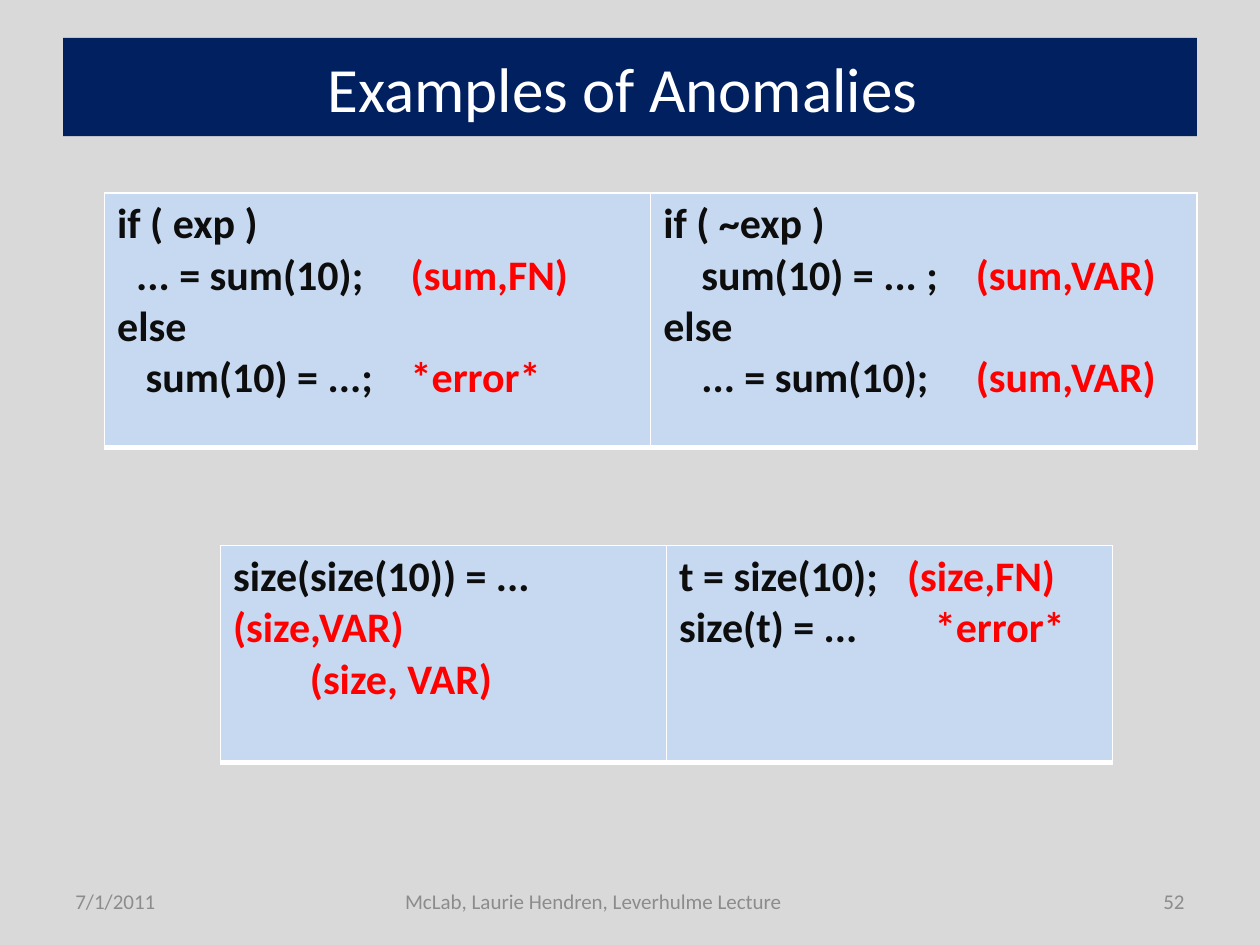
from pptx import Presentation
from pptx.dml.color import RGBColor
from pptx.enum.text import MSO_ANCHOR as Anchor, PP_ALIGN as Align
from pptx.oxml.ns import qn
from pptx.util import Inches, Pt
from lxml.etree import SubElement

BACKGROUND, NAVY, PALE_BLUE = "D9D9D9", "002060", "C6D9F1"
WHITE, INK, RED, GREY = "FFFFFF", "0D0D0D", "FF0000", "8C8C8C"
BORDERS = {"a:lnL": 1, "a:lnR": 1, "a:lnT": 1, "a:lnB": 3}

# Each line of a cell is (code, note, tab position of the note in inches).
BRANCH_CELLS = [
    [("if ( exp )", "", 0),
     ("  ... = sum(10);", "(sum,FN)", 2.33),
     ("else", "", 0),
     ("   sum(10) = ...;", "*error*", 2.33)],
    [("if ( ~exp )", "", 0),
     ("    sum(10) = ... ;", "(sum,VAR)", 2.48),
     ("else", "", 0),
     ("    ... = sum(10);", "(sum,VAR)", 2.48)],
]
SIZE_CELLS = [
    [("size(size(10)) = ...", "", 0),
     ("", "(size,VAR)", 0),
     ("", "(size, VAR)", 0.61)],
    [("t = size(10);", "(size,FN)", 1.81),
     ("size(t) = ...", "*error*", 2.03)],
]
FOOTER = [
    ("7/1/2011", 0.5, 1.17, Align.LEFT),
    ("McLab, Laurie Hendren, Leverhulme Lecture", 2, 5.42, Align.CENTER),
    ("52", 8.42, 1.08, Align.RIGHT),
]


def rgb(value):
    return RGBColor.from_string(value)


def paint(fill, color):
    fill.solid()
    fill.fore_color.rgb = rgb(color)


def add_span(para, text, color, **formats):
    span = para.add_run()
    span.text = text
    span.font.color.rgb = rgb(color)
    for name, value in {"name": "Calibri", **formats}.items():
        setattr(span.font, name, value)


def place(shape, left, top, width, height):
    bounds = {"left": left, "top": top, "width": width, "height": height}
    for name, value in bounds.items():
        setattr(shape, name, Inches(value))


def add_title(page, left, top, width, height):
    title = page.shapes.title
    place(title, left, top, width, height)
    paint(title.fill, NAVY)
    frame = title.text_frame
    frame.vertical_anchor = Anchor.MIDDLE
    frame.margin_right = Inches(0.22)
    para = frame.paragraphs[0]
    para.alignment = Align.CENTER
    add_span(para, "Examples of Anomalies", WHITE, size=Pt(36))


def add_borders(cell):
    properties = cell._tc.get_or_add_tcPr()
    for tag, points in BORDERS.items():
        line = SubElement(properties, qn(tag), w=str(Pt(points)))
        SubElement(SubElement(line, qn("a:solidFill")), qn("a:srgbClr"), val=WHITE)


def add_tab(para, position):
    tabs = SubElement(para._p.get_or_add_pPr(), qn("a:tabLst"))
    SubElement(tabs, qn("a:tab"), pos=str(Inches(position)), algn="l")


def fill_cell(cell, lines):
    add_borders(cell)
    paint(cell.fill, PALE_BLUE)
    frame = cell.text_frame
    for index, (code, note, tab) in enumerate(lines):
        para = frame.add_paragraph() if index else frame.paragraphs[0]
        if tab:
            add_tab(para, tab)
            code += "\t"
        for text, color in ((code, INK), (note, RED)):
            if text:
                add_span(para, text, color, size=Pt(24), bold=True)


def add_code_table(page, cells, left, top, width, height):
    """Set code samples side by side in equal columns."""
    box = [Inches(value) for value in (left, top, width, height)]
    table = page.shapes.add_table(1, len(cells), *box).table
    table.first_row = table.horz_banding = False
    for cell, lines in zip(table.rows[0].cells, cells):
        fill_cell(cell, lines)


def add_footer(page, top, height):
    for text, left, width, alignment in FOOTER:
        box = page.shapes.add_textbox(0, 0, 0, 0)
        place(box, left, top, width, height)
        frame = box.text_frame
        frame.word_wrap = True
        frame.vertical_anchor = Anchor.MIDDLE
        para = frame.paragraphs[0]
        para.alignment = alignment
        add_span(para, text, GREY, size=Pt(12))


def main():
    deck = Presentation()
    deck.slide_width, deck.slide_height = Inches(10), Inches(7.5)
    page = deck.slides.add_slide(deck.slide_layouts.get_by_name("Title Only"))
    paint(page.background.fill, BACKGROUND)
    add_title(page, 0.5, 0.3, 9, 0.78)
    add_code_table(page, BRANCH_CELLS, 0.83, 1.53, 8.67, 2.02)
    add_code_table(page, SIZE_CELLS, 1.75, 4.33, 7.08, 1.72)
    add_footer(page, 6.95, 0.4)
    deck.save("out.pptx")


if __name__ == "__main__":
    main()
